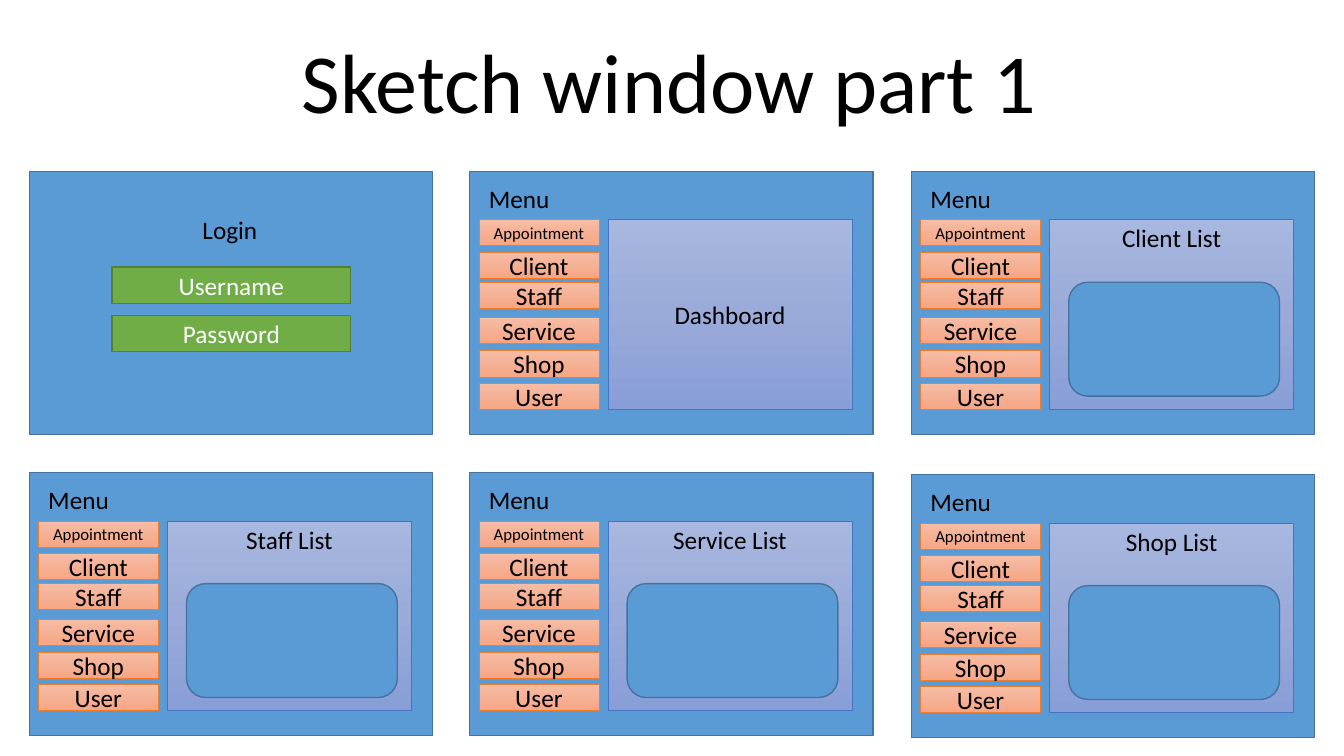
from copy import deepcopy
from pptx import Presentation
from pptx.dml.color import RGBColor
from pptx.enum.shapes import MSO_SHAPE
from pptx.enum.text import MSO_ANCHOR, MSO_AUTO_SIZE, PP_ALIGN
from pptx.oxml.ns import qn
from pptx.util import Inches, Pt

RECT = MSO_SHAPE.RECTANGLE
ROUNDED = MSO_SHAPE.FLOWCHART_ALTERNATE_PROCESS
TOP, MIDDLE, BOTTOM = MSO_ANCHOR.TOP, MSO_ANCHOR.MIDDLE, MSO_ANCHOR.BOTTOM
CENTER = PP_ALIGN.CENTER
GROW = MSO_AUTO_SIZE.SHAPE_TO_FIT_TEXT

COLORS = {
    "window": "5B9BD5", "window_line": "43739E",
    "field": "70AD47", "field_line": "538035",
    "button_line": "ED7D31", "panel_line": "4472C4",
    "button_top": "F7BDA5", "button_mid": "F5B196", "button_end": "F8A582",
    "panel_top": "A8B7DF", "panel_mid": "9AABD9", "panel_end": "889ED7",
    "black": "000000", "white": "FFFFFF",
}
FONT = "Calibri"
WINDOW_SIZE = (4, 2.61)
COLUMNS = (0.29, 4.66, 9.04)
ROWS = (1.7, 4.69)
MENU = {"Appointment": 0.48, "Client": 0.8, "Staff": 1.1,
        "Service": 1.45, "Shop": 1.78, "User": 2.1}


def color(name):
    return RGBColor.from_string(COLORS[name])


def write(shape, text, size=18, ink="black", align=CENTER):
    para = shape.text_frame.paragraphs[0]
    para.text = text
    para.alignment = align
    para.font.name = FONT
    para.font.size = Pt(size)
    para.font.color.rgb = color(ink)
    return para


def add_box(parts, kind, box, style, line_width=1):
    shape = parts.add_shape(kind, *map(Inches, box))
    shape.shadow.inherit = False
    shape.line.color.rgb = color(style + "_line")
    shape.line.width = Pt(line_width)
    shape.text_frame.vertical_anchor = MIDDLE
    if style in COLORS:
        shape.fill.solid()
        shape.fill.fore_color.rgb = color(style)
    else:
        fill_gradient(shape, style)
    return shape


def fill_gradient(shape, style):
    shape.fill.gradient()
    shape.fill.gradient_angle = 270
    first = next(shape._element.spPr.iter(qn("a:gs")))
    first.addnext(deepcopy(first))
    names = ("_top", "_mid", "_end")
    for stop, name, position in zip(shape.fill.gradient_stops, names, (0, 0.5, 1)):
        stop.position = position
        stop.color.rgb = color(style + name)


def add_label(parts, text, left, top, width):
    label = parts.add_textbox(*map(Inches, (left, top, width, 0.4)))
    label.text_frame.word_wrap = False
    label.text_frame.auto_size = GROW
    write(label, text, align=None)


def add_window(page, left, top):
    parts = page.shapes.add_group_shape().shapes
    add_box(parts, RECT, (left, top, *WINDOW_SIZE), "window")
    return parts


def add_login_window(page, left, top):
    parts = add_window(page, left, top)
    add_label(parts, "Login", left + 1.62, top + 0.38, 0.75)
    for index, text in enumerate(("Username", "Password")):
        box = (left + 0.82, top + 0.95 + 0.48 * index, 2.37, 0.36)
        write(add_box(parts, RECT, box, "field"), text, ink="white")


def add_menu_window(page, left, top, heading, has_list=True):
    parts = add_window(page, left, top)
    add_label(parts, "Menu", left + 0.09, top + 0.07, 0.81)
    for text, offset in MENU.items():
        box = (left + 0.09, top + offset, 1.19, 0.26)
        button = add_box(parts, RECT, box, "button", 0.5)
        write(button, text, 12 if text == "Appointment" else 18)
    panel = add_box(parts, RECT, (left + 1.37, top + 0.48, 2.42, 1.88), "panel", 0.5)
    write(panel, heading)
    if has_list:
        panel.text_frame.vertical_anchor = TOP
        panel.text_frame.margin_top = Inches(0.03)
        add_box(parts, ROUNDED, (left + 1.56, top + 1.1, 2.09, 1.13), "window")


def add_title(page, left, top, width, height):
    title = page.shapes.add_textbox(*map(Inches, (left, top, width, height)))
    title.text_frame.word_wrap = True
    title.text_frame.vertical_anchor = BOTTOM
    write(title, "Sketch window part 1", 60).line_spacing = 0.9


deck = Presentation()
deck.slide_width, deck.slide_height = Inches(13.33), Inches(7.5)
page = deck.slides.add_slide(deck.slide_layouts[6])

add_login_window(page, COLUMNS[0], ROWS[0])
add_menu_window(page, COLUMNS[1], ROWS[0], "Dashboard", has_list=False)
add_menu_window(page, COLUMNS[2], ROWS[0], "Client List")
add_menu_window(page, COLUMNS[0], ROWS[1], "Staff List")
add_menu_window(page, COLUMNS[1], ROWS[1], "Service List")
add_menu_window(page, COLUMNS[2], ROWS[1] + 0.02, "Shop List")
add_title(page, 0.89, 0.23, 11.5, 1.13)

deck.save("out.pptx")
